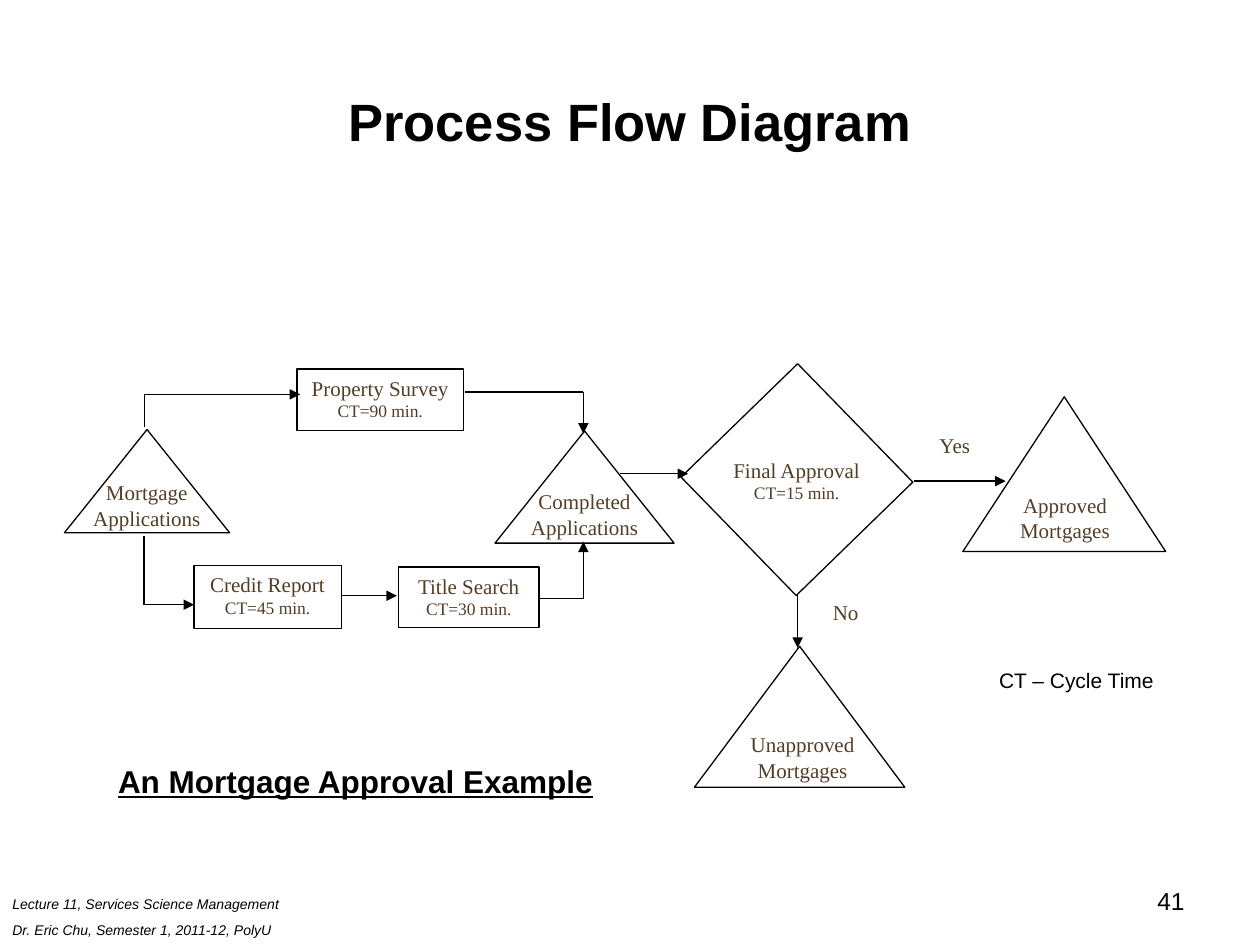
"""Build the process flow slide for a mortgage approval example."""
from itertools import pairwise

from lxml.etree import SubElement
from pptx import Presentation
from pptx.dml.color import RGBColor
from pptx.enum.shapes import MSO_CONNECTOR, MSO_SHAPE as Shape
from pptx.enum.text import MSO_ANCHOR as Anchor, PP_ALIGN as Align
from pptx.oxml.ns import qn
from pptx.util import Cm, Pt

BLACK = RGBColor(0x00, 0x00, 0x00)
WHITE = RGBColor(0xFF, 0xFF, 0xFF)
BROWN = RGBColor(0x52, 0x3E, 0x26)
LINE_WIDTH = Pt(0.75)

FOOTER = ["Lecture 11, Services Science Management",
          "Dr. Eric Chu, Semester 1, 2011-12, PolyU"]
STEPS = [
    (["Property Survey", "CT=90 min."], (5.99, 7.44, 3.35, 1.24)),
    (["Credit Report", "CT=45 min."], (3.91, 11.4, 2.97, 1.27)),
    (["Title Search", "CT=30 min."], (8.03, 11.43, 2.84, 1.22)),
]
DECISION = ["Final Approval", "CT=15 min."]
STORES = [
    (["Mortgage", "Applications"], (1.3, 8.66, 3.33, 2.08), (1.55, 9.55, 2.82, 1.3)),
    (["Completed", "Applications"], (9.98, 8.69, 3.61, 2.26), (10.44, 9.73, 2.69, 1.24)),
    (["Approved Mortgages"], (19.41, 8, 4.09, 3.12), (20.24, 9.8, 2.46, 1.24)),
    (["Unapproved Mortgages"], (14, 13.03, 4.24, 2.84), (14.68, 14.63, 3, 1.19)),
]
ANSWERS = [("Yes", (18.69, 8.59, 1.4, 0.86)), ("No", (16.54, 11.96, 1.12, 0.86))]
ROUTES = [
    [(2.92, 8.61), (2.92, 7.95), (6.05, 7.95)],
    [(2.9, 10.8), (2.9, 12.19), (3.91, 12.19)],
    [(6.88, 12.01), (8, 12.01)],
    [(9.37, 7.9), (11.76, 7.9), (11.76, 8.74)],
    [(10.87, 12.07), (11.76, 12.07), (11.76, 10.92)],
    [(12.5, 9.55), (13.87, 9.55)],
    [(18.42, 9.7), (20.27, 9.7)],
    [(16.08, 11.99), (16.08, 13.06)],
]


def write(shape, lines, sizes, font="Times New Roman", color=BROWN,
          align=Align.CENTER, anchor=Anchor.TOP, wrap=True, gap=0, **style):
    frame = shape.text_frame
    frame.word_wrap = wrap
    frame.vertical_anchor = anchor
    for index, (line, size) in enumerate(zip(lines, sizes)):
        paragraph = frame.add_paragraph() if index else frame.paragraphs[0]
        paragraph.text = line
        paragraph.alignment = align
        if index and gap:
            paragraph.space_before = Pt(gap)
        paragraph.font.name = font
        paragraph.font.size = Pt(size)
        paragraph.font.color.rgb = color
        for name, value in style.items():
            setattr(paragraph.font, name, value)


def add_text(slide, box, lines, sizes, **style):
    write(slide.shapes.add_textbox(*map(Cm, box)), lines, sizes, **style)


def add_node(slide, kind, box, outlined=True):
    node = slide.shapes.add_shape(kind, *map(Cm, box))
    node.shadow.inherit = False
    node.fill.solid()
    node.fill.fore_color.rgb = WHITE
    if outlined:
        node.line.color.rgb = BLACK
        node.line.width = LINE_WIDTH
    else:
        node.line.fill.background()
    return node


def add_route(slide, points):
    for start, end in pairwise(points):
        leg = slide.shapes.add_connector(MSO_CONNECTOR.STRAIGHT, *map(Cm, start + end))
        leg.line.color.rgb = BLACK
        leg.line.width = LINE_WIDTH
        if end == points[-1]:
            SubElement(leg.line._get_or_add_ln(), qn("a:tailEnd"), type="triangle")
        SubElement(leg._element.spPr, qn("a:effectLst"))


def main():
    deck = Presentation()
    deck.slide_width, deck.slide_height = Cm(25.4), Cm(19.05)
    slide = deck.slides.add_slide(deck.slide_layouts[6])

    add_text(slide, (0, 17.93, 7.14, 1.12), FOOTER, (8, 8), font="Arial",
             color=BLACK, align=Align.LEFT, gap=5, italic=True)
    add_text(slide, (1.27, 0.84, 22.86, 3.18), ["Process Flow Diagram"], [30],
             font="Arial", color=BLACK, anchor=Anchor.MIDDLE, bold=True)

    for lines, box in STEPS:
        write(add_node(slide, Shape.RECTANGLE, box), lines, (12, 10))
    add_node(slide, Shape.RECTANGLE, (14.4, 8.03, 3.33, 3.28)).rotation = 45.8
    for lines, triangle, label in STORES:
        add_node(slide, Shape.ISOSCELES_TRIANGLE, triangle)
        add_text(slide, label, lines, (12, 12))
    decision = add_node(slide, Shape.RECTANGLE, (14.5, 9.09, 3.12, 1.17), outlined=False)
    write(decision, DECISION, (12, 10))
    for answer, box in ANSWERS:
        write(add_node(slide, Shape.RECTANGLE, box, outlined=False), [answer], [12],
              align=Align.LEFT)
    for points in ROUTES:
        add_route(slide, points)

    add_text(slide, (2.13, 15.24, 10.11, 1.02), ["An Mortgage Approval Example"], [18],
             font="Arial", color=BLACK, align=Align.LEFT, wrap=False,
             bold=True, underline=True)
    add_text(slide, (19.89, 13.34, 3.66, 0.76), ["CT – Cycle Time"], [12],
             font="Arial", color=BLACK, align=Align.LEFT, wrap=False)
    add_text(slide, (18.21, 17.73, 5.92, 1.32), ["41"], [14],
             font="Arial", color=BLACK, align=Align.RIGHT)
    deck.save("out.pptx")


if __name__ == "__main__":
    main()
